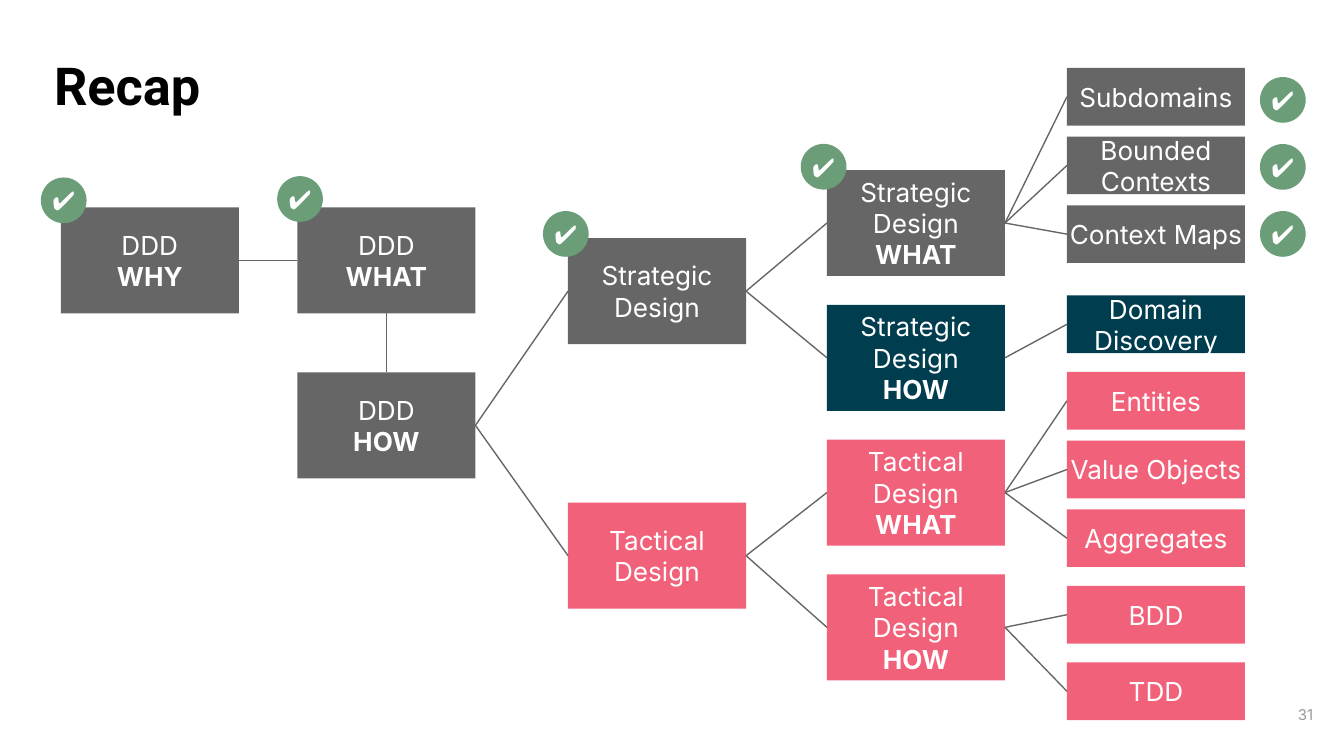
from dataclasses import dataclass
from lxml.etree import SubElement
from pptx import Presentation
from pptx.dml.color import RGBColor
from pptx.enum.shapes import MSO_CONNECTOR, MSO_SHAPE
from pptx.enum.text import MSO_ANCHOR, PP_ALIGN
from pptx.oxml.ns import qn
from pptx.util import Pt


@dataclass(frozen=True)
class Theme:
    done: str = "666666"
    current: str = "003D4F"
    todo: str = "F2617A"
    tick: str = "6B9E78"
    white: str = "FFFFFF"
    black: str = "000000"
    muted: str = "999999"
    body_font: str = "Inter"
    title_font: str = "Roboto"
    tick_font: str = "Arial"
    title_size: float = 28
    body_size: float = 14
    number_size: float = 8
    line_width: float = 0.75


T = Theme()
BOX_W, TOPIC_H, LEAF_H, TICK = 95.4, 56.8, 30.9, 24.5
COLUMNS = [32.6, 159.3, 304.3, 443, 571.6]
DESIGN_TOP, DESIGN_STEP = 91.1, 72.2
LEAF_STEP, LEAF_TOP = 36.8, 36.4

TOPICS = [
    ("why", 0, 111.1, "DDD", "WHY", T.done),
    ("what", 1, 111.1, "DDD", "WHAT", T.done),
    ("how", 1, 199.5, "DDD", "HOW", T.done),
    ("strategic", 2, 127.6, "Strategic Design", "", T.done),
    ("tactical", 2, 269.3, "Tactical Design", "", T.todo),
]
DESIGNS = [
    ("strategic", "Strategic Design", "WHAT", T.done, 0,
     ["Subdomains", "Bounded Contexts", "Context Maps"]),
    ("strategic", "Strategic Design", "HOW", T.current, 48.3, ["Domain Discovery"]),
    ("tactical", "Tactical Design", "WHAT", T.todo, 41,
     ["Entities", "Value Objects", "Aggregates"]),
    ("tactical", "Tactical Design", "HOW", T.todo, 41, ["BDD"]),
]
LAST_LEAF = ("TDD", 41)
LINKS = [("why", 3, "what", 1), ("what", 2, "how", 0),
         ("how", 3, "strategic", 1), ("how", 3, "tactical", 1)]
TICKS = [(21.9, 95.1), (148.5, 94.4), (290.9, 113.1), (429, 77.1),
         (675, 41.3), (675, 77.2), (675, 113.1)]


def rgb(value):
    return RGBColor.from_string(value)


def write(sp, lines, font, size, color, align, anchor, inset=0):
    tf = sp.text_frame
    tf.word_wrap = True
    tf.vertical_anchor = anchor
    tf.margin_left = tf.margin_right = tf.margin_top = tf.margin_bottom = Pt(inset)
    for i, (text, bold) in enumerate(lines):
        p = tf.add_paragraph() if i else tf.paragraphs[0]
        p.add_run().text = text
        p.alignment = align
        p.font.name, p.font.size, p.font.bold = font, Pt(size), bold
        p.font.color.rgb = rgb(color)


def add_filled(s, kind, x, y, w, h, fill, lines, font):
    sp = s.shapes.add_shape(kind, Pt(x), Pt(y), Pt(w), Pt(h))
    sp.shadow.inherit = False
    sp.fill.solid()
    sp.fill.fore_color.rgb = rgb(fill)
    sp.line.fill.background()
    write(sp, lines, font, T.body_size, T.white, PP_ALIGN.CENTER, MSO_ANCHOR.MIDDLE)
    return sp


def add_box(s, column, y, h, name, stage, fill):
    lines = [(name, False)] + ([(stage, True)] if stage else [])
    return add_filled(s, MSO_SHAPE.RECTANGLE, COLUMNS[column], y, BOX_W, h,
                      fill, lines, T.body_font)


def link(s, start, start_side, end, end_side):
    line = s.shapes.add_connector(MSO_CONNECTOR.STRAIGHT, 0, 0, 0, 0)
    line.begin_connect(start, start_side)
    line.end_connect(end, end_side)
    line.line.color.rgb = rgb(T.done)
    line.line.width = Pt(T.line_width)
    SubElement(line._element.spPr, qn("a:effectLst"))


def add_text(s, x, y, w, h, text, bold, *style):
    sp = s.shapes.add_textbox(Pt(x), Pt(y), Pt(w), Pt(h))
    write(sp, [(text, bold)], *style)


def main():
    prs = Presentation()
    prs.slide_width, prs.slide_height = Pt(720), Pt(405)
    s = prs.slides.add_slide(prs.slide_layouts[6])

    add_text(s, 667.4, 367.2, 43.2, 31, "31", False, T.body_font, T.number_size,
             T.muted, PP_ALIGN.RIGHT, MSO_ANCHOR.MIDDLE, 7.2)
    add_text(s, 29, 28.8, 662, 45.4, "Recap", True, T.title_font, T.title_size,
             T.black, PP_ALIGN.LEFT, MSO_ANCHOR.TOP)

    topics = {key: add_box(s, column, y, TOPIC_H, name, stage, fill)
              for key, column, y, name, stage, fill in TOPICS}
    for start, start_side, end, end_side in LINKS:
        link(s, topics[start], start_side, topics[end], end_side)

    y = LEAF_TOP
    for i, (parent, name, stage, fill, gap, leaves) in enumerate(DESIGNS):
        design = add_box(s, 3, DESIGN_TOP + i * DESIGN_STEP, TOPIC_H, name, stage, fill)
        link(s, topics[parent], 3, design, 1)
        y += gap
        for j, leaf in enumerate(leaves):
            y += LEAF_STEP if j else 0
            link(s, design, 3, add_box(s, 4, y, LEAF_H, leaf, "", fill), 1)
    name, gap = LAST_LEAF
    link(s, design, 3, add_box(s, 4, y + gap, LEAF_H, name, "", fill), 1)

    for x, y in TICKS:
        add_filled(s, MSO_SHAPE.OVAL, x, y, TICK, TICK, T.tick, [("✔", False)], T.tick_font)

    prs.save("out.pptx")


if __name__ == "__main__":
    main()
